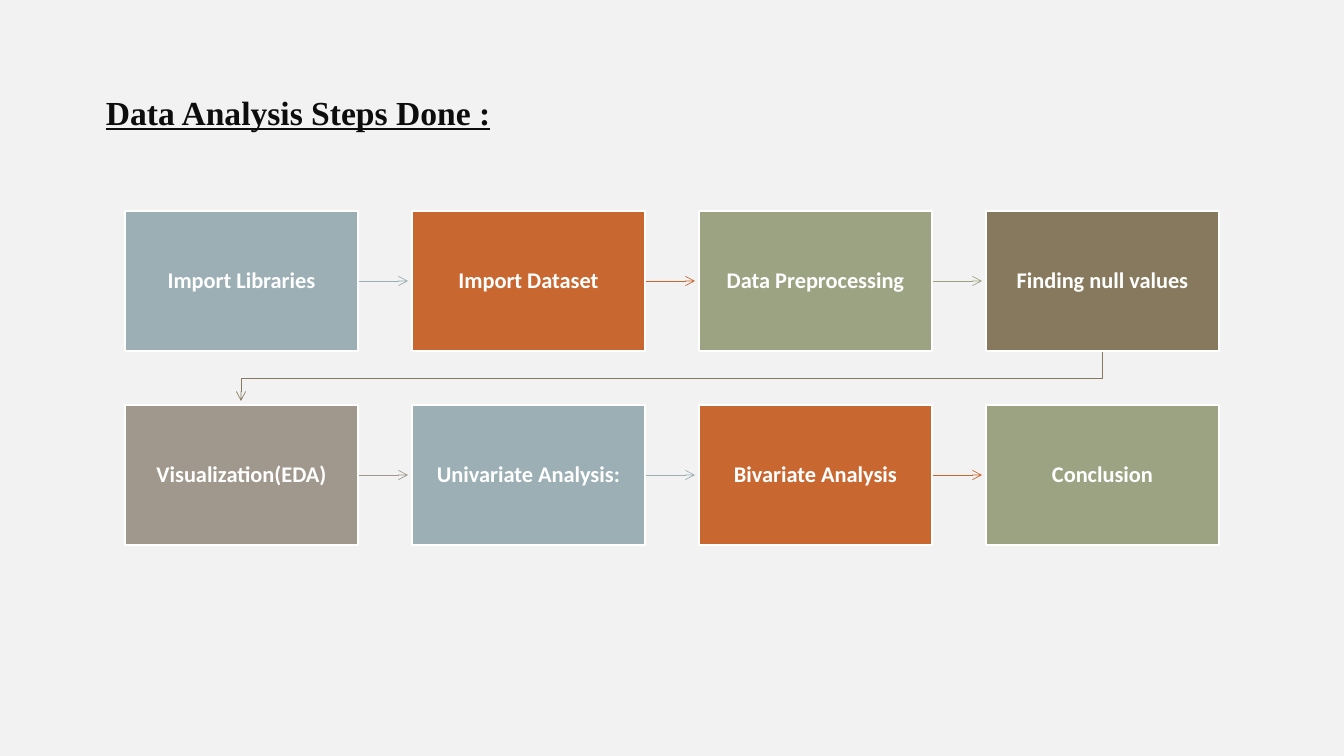
from lxml import etree
from pptx import Presentation, util as u
from pptx.dml.color import RGBColor
from pptx.enum import shapes, text
from pptx.oxml.ns import qn

EMU_PER_PX = 914400 / 100.8
COLOURS = {
    "background": "F2F2F2", "title": "0D0D0D", "white": "FFFFFF",
    "blue": "9BAFB5", "orange": "C96731", "green": "9CA383",
    "brown": "87795D", "taupe": "A0988C",
}
STEP_COLOURS = ["blue", "orange", "green", "brown", "taupe"]
STEPS = [
    "Import Libraries", "Import Dataset", "Data Preprocessing", "Finding null values",
    "Visualization(EDA)", "Univariate Analysis:", "Bivariate Analysis", "Conclusion",
]
COLUMNS = 4
LEFT, TOP = 125, 211
WIDTH, HEIGHT = 233, 140
PITCH_X, PITCH_Y = 287, 194
ARROW_GAP = 4


def px(length):
    return u.Emu(round(length * EMU_PER_PX))


def colour(name):
    return RGBColor.from_string(COLOURS[name])


def apply(target, values):
    for name, value in values.items():
        setattr(target, name, value)


class FlowSlide:
    def __init__(self, deck):
        self.slide = deck.slides.add_slide(deck.slide_layouts[6])
        self.shapes = self.slide.shapes
        self.title_font = {"name": "Times New Roman", "size": u.Pt(24),
                           "bold": True, "underline": True}
        self.step_font = {"name": "Calibri", "size": u.Pt(16), "bold": True}
        self.step_frame = {"word_wrap": True, "vertical_anchor": text.MSO_ANCHOR.MIDDLE,
                           **{f"margin_{side}": px(12)
                              for side in ("left", "top", "right", "bottom")}}
        self.step_paragraph = {"alignment": text.PP_ALIGN.CENTER, "line_spacing": 0.9}
        fill = self.slide.background.fill
        fill.solid()
        fill.fore_color.rgb = colour("background")

    def add_words(self, paragraph, words, font, tint):
        run = paragraph.add_run()
        run.text = words
        apply(run.font, font)
        run.font.color.rgb = colour(tint)

    def title(self, words, x, y, width, height):
        frame = self.shapes.add_textbox(px(x), px(y), px(width), px(height)).text_frame
        frame.word_wrap = True
        self.add_words(frame.paragraphs[0], words, self.title_font, "title")

    def step(self, words, x, y, tint):
        box = self.shapes.add_shape(shapes.MSO_SHAPE.RECTANGLE,
                                    px(x), px(y), px(WIDTH), px(HEIGHT))
        box.shadow.inherit = False
        box.fill.solid()
        box.fill.fore_color.rgb = colour(tint)
        box.line.color.rgb = colour("white")
        box.line.width = u.Pt(1)
        apply(box.text_frame, self.step_frame)
        paragraph = box.text_frame.paragraphs[0]
        apply(paragraph, self.step_paragraph)
        self.add_words(paragraph, words, self.step_font, "white")

    def arrow_line(self, line, tint):
        """Give a line its thin stroke and an open arrowhead at its end."""
        line.color.rgb = colour(tint)
        line.width = u.Pt(0.5)
        etree.SubElement(line._get_or_add_ln(), qn("a:tailEnd"), type="arrow")

    def arrow(self, start, end, tint):
        arrow = self.shapes.add_connector(shapes.MSO_CONNECTOR.STRAIGHT,
                                          *map(px, start + end))
        self.arrow_line(arrow.line, tint)
        etree.SubElement(arrow._element.spPr, qn("a:effectLst"))

    def bent_arrow(self, points, tint):
        start, *bends = [(px(x), px(y)) for x, y in points]
        builder = self.shapes.build_freeform(*start)
        builder.add_line_segments(bends, close=False)
        arrow = builder.convert_to_shape()
        arrow.fill.background()
        self.arrow_line(arrow.line, tint)
        arrow.shadow.inherit = False


def main():
    deck = Presentation()
    deck.slide_width, deck.slide_height = px(1344), px(756)
    flow = FlowSlide(deck)
    flow.title("Data Analysis Steps Done :", 96, 87, 1163, 132)

    for index, step in enumerate(STEPS):
        row, column = divmod(index, COLUMNS)
        x, y = LEFT + column * PITCH_X, TOP + row * PITCH_Y
        tint = STEP_COLOURS[index % len(STEP_COLOURS)]
        if column < COLUMNS - 1:
            middle = y + HEIGHT // 2
            flow.arrow((x + WIDTH, middle), (x + PITCH_X - ARROW_GAP, middle), tint)
        elif index < len(STEPS) - 1:
            bottom, next_top = y + HEIGHT, y + PITCH_Y
            turn = (bottom + next_top) // 2
            centre, first_centre = x + WIDTH // 2, LEFT + WIDTH // 2
            flow.bent_arrow([(centre, bottom), (centre, turn), (first_centre, turn),
                             (first_centre, next_top - ARROW_GAP)], tint)
        flow.step(step, x, y, tint)

    deck.save("out.pptx")


if __name__ == "__main__":
    main()
